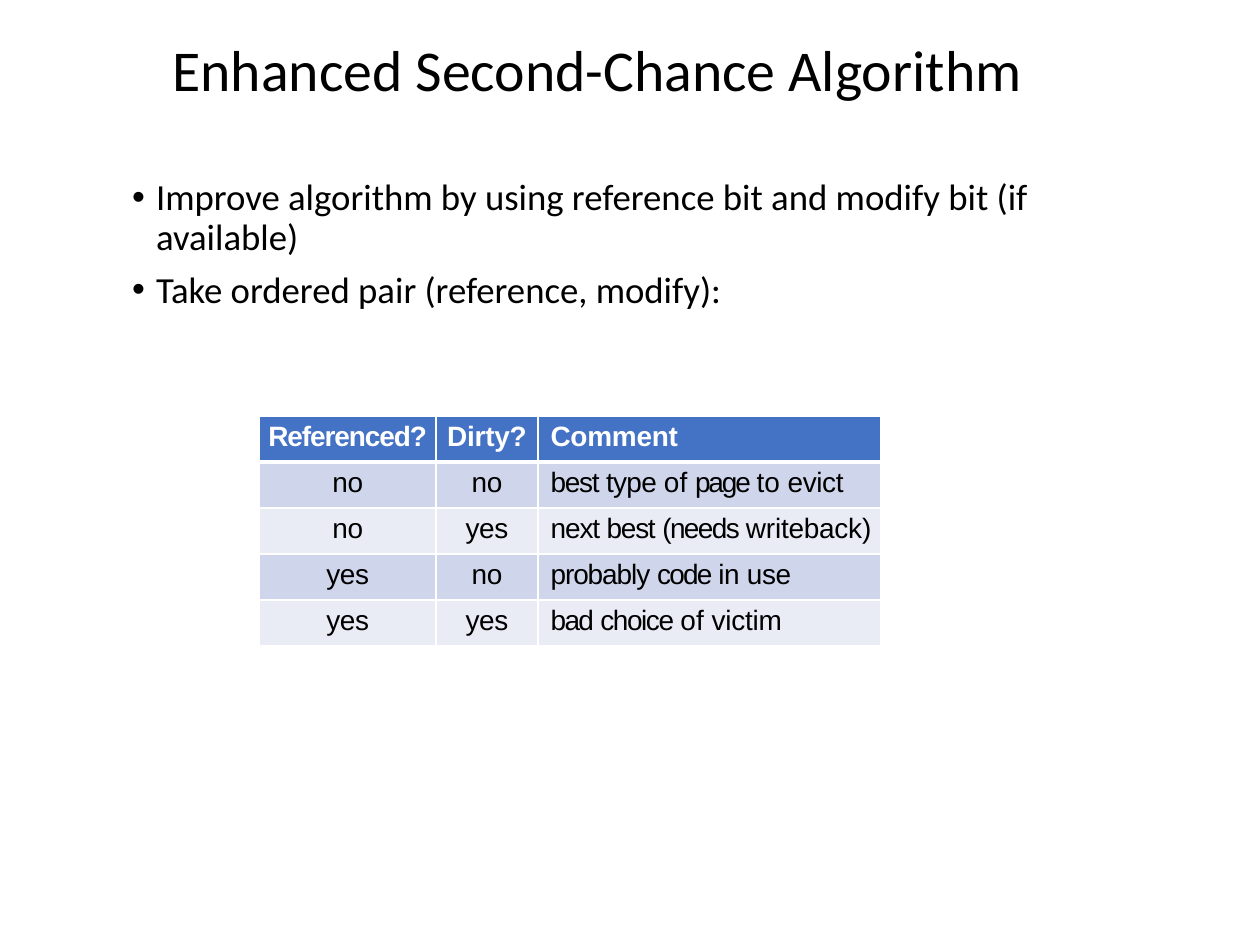
from lxml import etree
from pptx import Presentation
from pptx.dml.color import RGBColor
from pptx.enum.text import MSO_ANCHOR, PP_ALIGN
from pptx.oxml.ns import qn
from pptx.util import Inches, Pt

CENTER = PP_ALIGN.CENTER
LEFT = PP_ALIGN.LEFT
MIDDLE = MSO_ANCHOR.MIDDLE
TOP = MSO_ANCHOR.TOP

BLACK, WHITE = "000000", "FFFFFF"
HEADER_FILL = "4472C4"
BAND_FILLS = ["CFD5EA", "E9EBF5"]

TITLE = "Enhanced Second-Chance Algorithm"
POINTS = [
    "Improve algorithm by using reference bit and modify bit (if available)",
    "Take ordered pair (reference, modify):",
]
COLUMN_WIDTHS = [1.4, 0.81, 2.72]
# Each cell is a list of (text, letter spacing in points).
PAGE_CLASSES = [
    [[("Referenced?", -0.6)], [("Dirty?", -0.1)], [("Comment", -0.1)]],
    [[("no", -0.2)], [("no", -0.2)],
     [("best ", -0.7), ("type ", -0.4), ("of ", 0), ("page ", -1.2),
      ("to ", 0), ("evict", -0.2)]],
    [[("no", -0.2)], [("yes", -0.2)],
     [("next", -0.6), (" best ", -0.7), ("(needs ", -0.9),
      ("writeback)", -0.1)]],
    [[("yes", -0.2)], [("no", -0.2)],
     [("probably ", -0.6), ("code ", -1), ("in ", -0.3), ("use", -0.2)]],
    [[("yes", -0.2)], [("yes", -0.2)],
     [("bad", -0.9), (" choice ", -0.8), ("of ", 0), ("victim", -0.1)]],
]


def rgb(color):
    return RGBColor.from_string(color)


def add_run(paragraph, text, size, font, color, bold=False, spacing=0):
    run = paragraph.add_run()
    run.text = text
    run.font.size = Pt(size)
    run.font.name = font
    run.font.bold = bold
    run.font.color.rgb = rgb(color)
    if spacing:
        run.font._element.set("spc", str(round(spacing * 100)))


def add_text_frame(slide, left, top, width, height, anchor):
    box = slide.shapes.add_textbox(
        Inches(left), Inches(top), Inches(width), Inches(height))
    frame = box.text_frame
    frame.word_wrap = True
    frame.vertical_anchor = anchor
    return frame


def add_title(slide):
    frame = add_text_frame(slide, 1.27, 0.26, 8.5, 0.63, MIDDLE)
    heading = frame.paragraphs[0]
    heading.line_spacing = 0.9
    add_run(heading, TITLE, 33, "Calibri", BLACK)


def set_bullet(paragraph, indent):
    properties = paragraph._p.get_or_add_pPr()
    properties.set("marL", str(Inches(indent)))
    properties.set("indent", str(-Inches(indent)))
    etree.SubElement(properties, qn("a:buFont"), typeface="Arial")
    etree.SubElement(properties, qn("a:buChar"), char="•")


def add_points(slide):
    frame = add_text_frame(slide, 0.95, 1.37, 8.32, 5.43, TOP)
    for index, text in enumerate(POINTS):
        point = frame.add_paragraph() if index else frame.paragraphs[0]
        set_bullet(point, 0.19)
        point.line_spacing = 0.9
        if index:
            point.space_before = Pt(7.5)
        add_run(point, text, 21, "Calibri", BLACK)


def set_borders(cell, top, bottom):
    """Draw white cell borders; top and bottom are widths in points."""
    properties = cell._tc.get_or_add_tcPr()
    for side, width in (("L", 1), ("R", 1), ("T", top), ("B", bottom)):
        line = etree.SubElement(
            properties, qn(f"a:ln{side}"), w=str(Pt(width)))
        fill = etree.SubElement(line, qn("a:solidFill"))
        etree.SubElement(fill, qn("a:srgbClr"), val=WHITE)


def fill_cell(cell, runs, row, is_comment):
    is_header = row == 0
    set_borders(cell, top=3 if row == 1 else 1, bottom=3 if is_header else 1)
    cell.fill.solid()
    cell.fill.fore_color.rgb = rgb(
        HEADER_FILL if is_header else BAND_FILLS[(row - 1) % 2])
    cell.margin_left = cell.margin_right = cell.margin_bottom = 0
    cell.margin_top = Inches(0.04)
    paragraph = cell.text_frame.paragraphs[0]
    paragraph.alignment = LEFT if is_comment else CENTER
    if is_comment:
        paragraph._p.get_or_add_pPr().set("marL", str(Inches(0.1)))
    for text, spacing in runs:
        add_run(paragraph, text, 16, "Arial",
                WHITE if is_header else BLACK, is_header, spacing)


def add_page_class_table(slide):
    table = slide.shapes.add_table(
        len(PAGE_CLASSES), len(COLUMN_WIDTHS), Inches(2.06), Inches(3.3),
        Inches(sum(COLUMN_WIDTHS)), Inches(1.83)).table
    for column, width in zip(table.columns, COLUMN_WIDTHS):
        column.width = Inches(width)
    comment_column = len(COLUMN_WIDTHS) - 1
    for row, entries in enumerate(PAGE_CLASSES):
        for column, runs in enumerate(entries):
            fill_cell(table.cell(row, column), runs, row,
                      column == comment_column)


def main():
    presentation = Presentation()
    presentation.slide_width = Inches(10)
    presentation.slide_height = Inches(7.5)
    slide = presentation.slides.add_slide(presentation.slide_layouts[6])
    add_title(slide)
    add_points(slide)
    add_page_class_table(slide)
    presentation.save("out.pptx")


if __name__ == "__main__":
    main()
